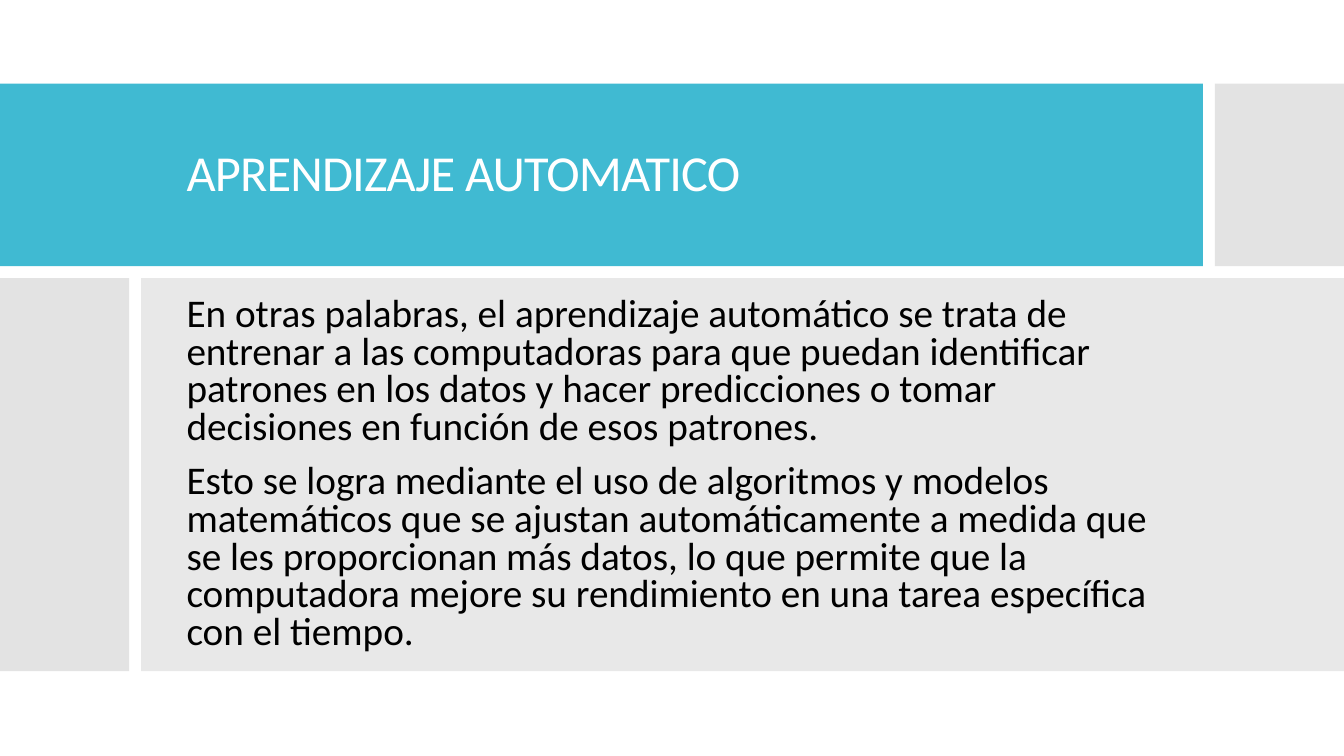
from dataclasses import dataclass
from typing import Any

import lxml.etree
import pptx
import pptx.dml.color
import pptx.enum.shapes
import pptx.enum.text
import pptx.oxml.ns
import pptx.util

Inches = pptx.util.Inches
Pt = pptx.util.Pt
qn = pptx.oxml.ns.qn

WIDTH, HEIGHT = 13.33, 7.5
GAP = 0.12
TOP, BAND_H = 0.83, 1.81
BAND_W, SIDE_W = 11.93, 1.28
BODY_TOP, BODY_H = TOP + BAND_H + GAP, 3.9
TEXT_X, TEXT_W = 1.75, 9.82

TITLE = "APRENDIZAJE AUTOMATICO"
BODY = [
    "En otras palabras, el aprendizaje automático se trata de entrenar a las "
    "computadoras para que puedan identificar patrones en los datos y hacer "
    "predicciones o tomar decisiones en función de esos patrones.",
    "Esto se logra mediante el uso de algoritmos y modelos matemáticos que se "
    "ajustan automáticamente a medida que se les proporcionan más datos, lo que "
    "permite que la computadora mejore su rendimiento en una tarea específica "
    "con el tiempo.",
]


@dataclass(frozen=True)
class Panel:
    left: float
    top: float
    width: float
    height: float
    color: str
    alpha: int = 100


@dataclass(frozen=True)
class TextBlock:
    top: float
    height: float
    paragraphs: list[str]
    size: int
    color: str
    line_spacing: float
    space_before: int
    tracking: int = 0


PANELS = [
    Panel(0, TOP, BAND_W, BAND_H, "40BAD2"),
    Panel(BAND_W + GAP, TOP, WIDTH - BAND_W - GAP, BAND_H, "C8C8C8", 50),
    Panel(0, BODY_TOP, SIDE_W, BODY_H, "C8C8C8", 50),
    Panel(SIDE_W + GAP, BODY_TOP, WIDTH - SIDE_W - GAP, BODY_H, "D9D9D9", 60),
]
TITLE_BLOCK = TextBlock(1.19, 1.09, [TITLE], 36, "FFFFFF", 0.9, 0, -60)
BODY_BLOCK = TextBlock(2.77, 3.89, BODY, 28, "000000", 0.8, 12)


def set_color(color_format: Any, value: str) -> None:
    color_format.rgb = pptx.dml.color.RGBColor.from_string(value)


def apply_format(target: Any, values: dict[str, Any]) -> None:
    for name, value in values.items():
        setattr(target, name, value)


def add_panel(slide: Any, panel: Panel) -> None:
    box = [Inches(v) for v in (panel.left, panel.top, panel.width, panel.height)]
    sp = slide.shapes.add_shape(pptx.enum.shapes.MSO_SHAPE.RECTANGLE, *box)
    sp.shadow.inherit = False
    sp.line.fill.background()
    sp.fill.solid()
    set_color(sp.fill.fore_color, panel.color)
    if panel.alpha < 100:
        clr = sp._element.spPr.find(".//" + qn("a:srgbClr"))
        alpha = lxml.etree.SubElement(clr, qn("a:alpha"))
        alpha.set("val", str(panel.alpha * 1000))


def fill_placeholder(slide: Any, sp: Any, block: TextBlock) -> None:
    apply_format(sp, {
        "left": Inches(TEXT_X), "top": Inches(block.top),
        "width": Inches(TEXT_W), "height": Inches(block.height),
    })
    tf = sp.text_frame
    apply_format(tf, {
        "text": "\n".join(block.paragraphs),
        "word_wrap": True,
        "auto_size": pptx.enum.text.MSO_AUTO_SIZE.NONE,
        "vertical_anchor": pptx.enum.text.MSO_ANCHOR.MIDDLE,
    })
    for p in tf.paragraphs:
        apply_format(p, {
            "alignment": pptx.enum.text.PP_ALIGN.LEFT,
            "line_spacing": block.line_spacing,
            "space_before": Pt(block.space_before),
        })
        pPr = p._p.get_or_add_pPr()
        pPr.set("marL", "0")
        pPr.set("indent", "0")
        lxml.etree.SubElement(pPr, qn("a:buNone"))
        r = p.runs[0]
        apply_format(r.font, {"name": "Calibri", "size": Pt(block.size)})
        set_color(r.font.color, block.color)
        if block.tracking:
            r._r.get_or_add_rPr().set("spc", str(block.tracking))
    slide.shapes._spTree.append(sp._element)


def main() -> None:
    prs = pptx.Presentation()
    prs.slide_width, prs.slide_height = Inches(WIDTH), Inches(HEIGHT)
    slide = prs.slides.add_slide(prs.slide_layouts[1])
    for panel in PANELS:
        add_panel(slide, panel)
    fill_placeholder(slide, slide.shapes.title, TITLE_BLOCK)
    fill_placeholder(slide, slide.placeholders[1], BODY_BLOCK)
    prs.save("out.pptx")


if __name__ == "__main__":
    main()
